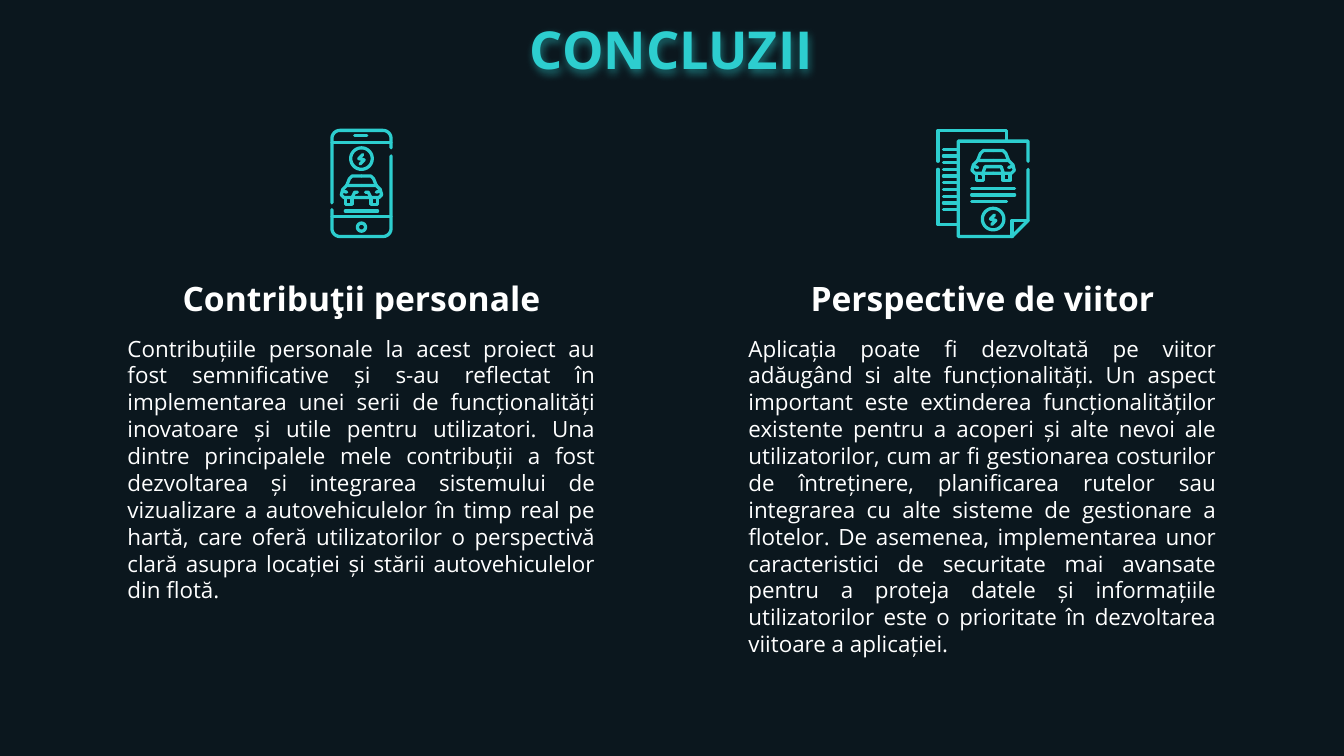
from math import cos, radians, sin

from lxml import etree
from pptx import Presentation
from pptx.dml.color import RGBColor
from pptx.enum.text import MSO_ANCHOR, PP_ALIGN
from pptx.oxml import parse_xml
from pptx.util import Inches, Pt

CENTER, JUSTIFY = PP_ALIGN.CENTER, PP_ALIGN.JUSTIFY
TOP, BOTTOM = MSO_ANCHOR.TOP, MSO_ANCHOR.BOTTOM

NIGHT = RGBColor(0x0B, 0x17, 0x1E)
TURQUOISE = RGBColor(0x2D, 0xCE, 0xCF)
WHITE = RGBColor(0xFF, 0xFF, 0xFF)

FONT = "Open Sans"
TITLE_FONT = {"name": FONT, "size": Pt(28), "bold": True}
HEADING_FONT = {"name": FONT, "size": Pt(18), "bold": True}
BODY_FONT = {"name": FONT, "size": Pt(12), "bold": False}

DRAWING_NS = "http://schemas.openxmlformats.org/drawingml/2006/main"
GLOW = f"""
<a:effectLst xmlns:a="{DRAWING_NS}">
  <a:outerShdw blurRad="57150" dist="19050" dir="5400000" algn="bl" rotWithShape="0">
    <a:srgbClr val="{TURQUOISE}"><a:alpha val="50000"/></a:srgbClr>
  </a:outerShdw>
</a:effectLst>"""

COLUMN_WIDTH = 3.68
COLUMNS = [
    (0.85, "Contribuţii personale",
     "Contribuțiile personale la acest proiect au fost semnificative și s-au reflectat în "
     "implementarea unei serii de funcționalități inovatoare și utile pentru utilizatori. "
     "Una dintre principalele mele contribuții a fost dezvoltarea și integrarea sistemului "
     "de vizualizare a autovehiculelor în timp real pe hartă, care oferă utilizatorilor o "
     "perspectivă clară asupra locației și stării autovehiculelor din flotă."),
    (5.47, "Perspective de viitor",
     "Aplicația poate fi dezvoltată pe viitor adăugând si alte funcționalități. Un aspect "
     "important este extinderea funcționalităților existente pentru a acoperi și alte nevoi "
     "ale utilizatorilor, cum ar fi gestionarea costurilor de întreținere, planificarea "
     "rutelor sau integrarea cu alte sisteme de gestionare a flotelor. De asemenea, "
     "implementarea unor caracteristici de securitate mai avansate pentru a proteja datele "
     "și informațiile utilizatorilor este o prioritate în dezvoltarea viitoare a aplicației."),
]


def add_text(slide, box, text, font, color, align, anchor=TOP):
    textbox = slide.shapes.add_textbox(*map(Inches, box))
    frame = textbox.text_frame
    margin = Inches(0.1)
    frame_format = {
        "word_wrap": True, "vertical_anchor": anchor,
        "margin_left": margin, "margin_right": margin,
        "margin_top": margin, "margin_bottom": margin,
    }
    for attribute, value in frame_format.items():
        setattr(frame, attribute, value)
    paragraph = frame.paragraphs[0]
    paragraph.alignment = align
    run = paragraph.add_run()
    run.text = text
    for attribute, value in font.items():
        setattr(run.font, attribute, value)
    run.font.color.rgb = color
    return textbox


def add_line_icon(slide, strokes):
    points = [[(Inches(x), Inches(y)) for x, y in stroke] for stroke in strokes]
    builder = slide.shapes.build_freeform(*points[0][0], scale=1.0)
    builder.add_line_segments(points[0][1:], close=False)
    for stroke in points[1:]:
        builder.move_to(*stroke[0])
        builder.add_line_segments(stroke[1:], close=False)
    icon = builder.convert_to_shape()
    icon.shadow.inherit = False
    icon.fill.background()
    icon.line.color.rgb = TURQUOISE
    icon.line.width = Pt(1.75)
    outline = icon.line._get_or_add_ln()
    outline.set("cap", "rnd")
    etree.SubElement(outline, f"{{{DRAWING_NS}}}round")


def arc(x, y, radius, start, end, steps=6):
    angles = [radians(start + (end - start) * i / steps) for i in range(steps + 1)]
    return [(x + radius * cos(a), y + radius * sin(a)) for a in angles]


def level(left, right, y):
    return [(left, y), (right, y)]


def coin_strokes(x, y):
    bolt = [(0.01, -0.03), (-0.02, 0), (0.02, 0.01), (-0.01, 0.04)]
    return [arc(x, y, 0.08, 0, 360, 36), [(x + dx, y + dy) for dx, dy in bolt]]


def car_strokes(x, top, scale=1):
    halves = [
        [(0, 0.01), (0.07, 0.01), (0.09, 0.03), (0.11, 0.08)],
        [(0, 0.08), (0.11, 0.08), (0.14, 0.11), (0.15, 0.15), (0.13, 0.17), (0, 0.17)],
        [(0.12, 0.18), (0.12, 0.22), (0.07, 0.22), (0.07, 0.18)],
        [(0.14, 0.12), (0.11, 0.13)],
    ]
    return [[(x + side * dx * scale, top + dy * scale) for dx, dy in half]
            for side in (-1, 1) for half in halves]


def phone_strokes():
    left, right, top, bottom, radius = 2.47, 2.91, 0.97, 1.76, 0.06
    inner_left, inner_right = left + radius, right - radius
    inner_top, inner_bottom = top + radius, bottom - radius
    center = (left + right) / 2
    upper_case = [(left, 1.51), *arc(inner_left, inner_top, radius, 180, 270),
                  *arc(inner_right, inner_top, radius, 270, 360), (right, 1.1)]
    lower_case = [(right, 1.16), *arc(inner_right, inner_bottom, radius, 0, 90),
                  *arc(inner_left, inner_bottom, radius, 90, 180), (left, 1.56)]
    grille = [[(center + side * dx, y) for dx, y in [(0.07, 1.47), (0.05, 1.43), (0.03, 1.43)]]
              for side in (-1, 1)]
    return [upper_case, lower_case, level(left, right, 1.06), level(left, right, 1.61),
            level(2.57, 2.81, 1.57), level(2.64, 2.73, 1.01),
            arc(center, 1.69, 0.03, 0, 360, 24),
            *grille, *coin_strokes(center, 1.18), *car_strokes(center, 1.3)]


def documents_strokes():
    center, left, right, bottom = 7.39, 6.98, 7.65, 1.76
    back_page = [
        [(left, 1.2), (left, 0.97), (7.49, 0.97), (7.49, 1.05)],
        [(left, 1.26), (left, 1.67), (7.13, 1.67)],
    ]
    front_page = [(right, 1.2), (right, 1.05), (7.13, 1.05), (7.13, bottom),
                  (7.53, bottom), (right, 1.64), (right, 1.26)]
    fold = [(7.53, bottom), (7.53, 1.64), (right, 1.64)]
    back_lines = [level(7.02, 7.13, 1.11 + 0.05 * i) for i in range(10)]
    front_lines = [level(7.23, end, 1.4 + 0.05 * i)
                   for i, end in enumerate((7.55, 7.55, 7.49))]
    grille = [(7.31, 1.3), (7.33, 1.24), (7.45, 1.24), (7.47, 1.3)]
    return [*back_page, front_page, fold, *back_lines, *front_lines, grille,
            *coin_strokes(center, 1.63), *car_strokes(center, 1.11, 1.05)]


def add_column(slide, left, heading, body):
    add_text(slide, (left, 2.39, COLUMN_WIDTH, 2.72), body, BODY_FONT, WHITE, JUSTIFY)
    add_text(slide, (left, 1.97, COLUMN_WIDTH, 0.5), heading, HEADING_FONT, WHITE,
             CENTER, BOTTOM)


def main():
    presentation = Presentation()
    presentation.slide_width = Inches(10)
    presentation.slide_height = Inches(10) * 9 // 16
    slide = presentation.slides.add_slide(presentation.slide_layouts[6])
    slide.background.fill.solid()
    slide.background.fill.fore_color.rgb = NIGHT

    for left, heading, body in COLUMNS:
        add_column(slide, left, heading, body)
    for strokes in (phone_strokes(), documents_strokes()):
        add_line_icon(slide, strokes)
    title = add_text(slide, (0.78, 0.03, 8.43, 0.63), "CONCLUZII", TITLE_FONT, TURQUOISE, CENTER)
    title._element.spPr.append(parse_xml(GLOW))

    presentation.save("out.pptx")


if __name__ == "__main__":
    main()
